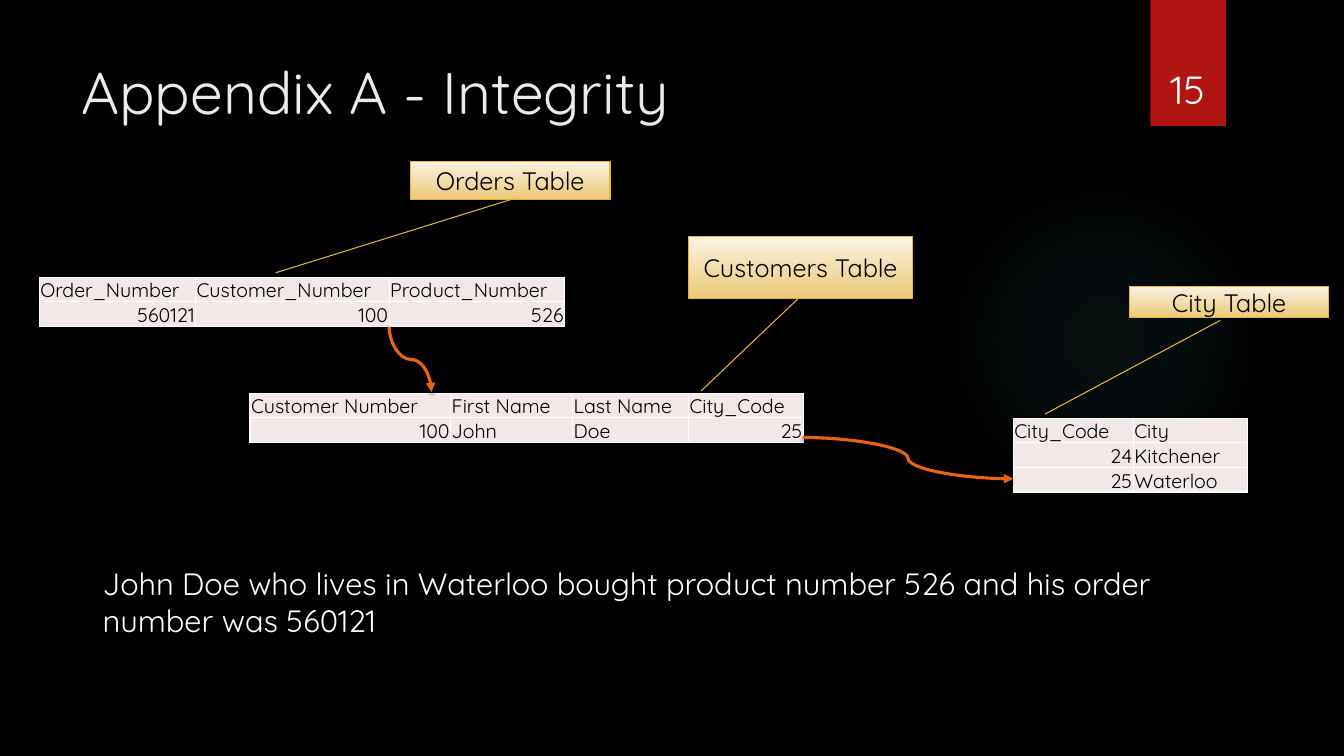
from lxml import etree
from pptx import Presentation
from pptx.dml.color import RGBColor
from pptx.enum.shapes import MSO_CONNECTOR, MSO_SHAPE
from pptx.enum.text import MSO_ANCHOR, PP_ALIGN
from pptx.oxml import parse_xml
from pptx.oxml.ns import nsdecls, qn
from pptx.util import Inches, Pt

RECTANGLE, OVAL, CALLOUT = MSO_SHAPE.RECTANGLE, MSO_SHAPE.OVAL, MSO_SHAPE.LINE_CALLOUT_1
CURVE = MSO_CONNECTOR.CURVE
TOP, MIDDLE, BOTTOM = MSO_ANCHOR.TOP, MSO_ANCHOR.MIDDLE, MSO_ANCHOR.BOTTOM
LEFT, CENTER, RIGHT = PP_ALIGN.LEFT, PP_ALIGN.CENTER, PP_ALIGN.RIGHT

FONT = "Quicksand"
BLACK, WHITE, TITLE_COLOR = "000000", "FFFFFF", "EBEBEB"
RED, ORANGE, GOLD = "B01513", "EA6312", "E6B729"
CELL_COLOR, CALLOUT_COLORS = "F2E8E7", ("FAF2E3", "ECC977")
GLOW_COLOR, GLOW_STOPS = "50B9C1", ((0, 7), (36, 6), (69, 0))
ROW_HEIGHT = 0.24

TABLES = [
    (2.48, 3.9, [1.99, 1.21, 1.15, 1.14],
     [["Customer Number", "First Name", "Last Name", "City_Code"],
      ["100", "John", "Doe", "25"]]),
    (10.05, 4.15, [1.19, 1.13],
     [["City_Code", "City"], ["24", "Kitchener"], ["25", "Waterloo"]]),
    (0.39, 2.75, [1.55, 1.92, 1.74],
     [["Order_Number", "Customer_Number", "Product_Number"],
      ["560121", "100", "526"]]),
]
CALLOUTS = [
    ("Orders Table", (4.07, 1.6, 1.98, 0.38), (0.973, 0.52, 2.911, -0.675)),
    ("Customers Table", (6.83, 2.35, 2.22, 0.61), (0.989, 0.494, 2.506, 0.056)),
    ("City Table", (11.2, 2.84, 1.98, 0.31), (1.092, 0.456, 4.092, -0.422)),
]


def rgb(color):
    return RGBColor.from_string(color)


def inches(values):
    return [Inches(value) for value in values]


def set_attributes(target, values):
    for name, value in values.items():
        setattr(target, name, value)


def write(text_frame, text, size, color, align=LEFT):
    paragraph = text_frame.paragraphs[0]
    paragraph.alignment = align
    run = paragraph.add_run()
    run.text = text
    set_attributes(run.font, {"name": FONT, "size": Pt(size)})
    run.font.color.rgb = rgb(color)


def add_text(slide, box, text, size, color, align=LEFT, anchor=TOP):
    text_frame = slide.shapes.add_textbox(*inches(box)).text_frame
    set_attributes(text_frame, {"word_wrap": True, "vertical_anchor": anchor})
    write(text_frame, text, size, color, align)


def add_plain_shape(slide, kind, box):
    shape = slide.shapes.add_shape(kind, *inches(box))
    shape.shadow.inherit = False
    shape.line.fill.background()
    return shape


def add_soft_shadow(shape):
    """Give a shape or connector a faint shadow below; call once its line is set."""
    properties = shape.element.spPr
    for effects in properties.findall(qn("a:effectLst")):
        properties.remove(effects)
    properties.append(parse_xml(
        f'<a:effectLst {nsdecls("a")}>'
        f'<a:outerShdw blurRad="{Pt(3)}" dist="{Pt(2)}" dir="5400000" rotWithShape="0">'
        f'<a:srgbClr val="{BLACK}"><a:alpha val="45000"/></a:srgbClr>'
        '</a:outerShdw></a:effectLst>'))


def add_glow(slide, box):
    """Add a circle whose transparent colour fades out from its centre."""
    shape = add_plain_shape(slide, OVAL, box)
    stops = "".join(
        f'<a:gs pos="{position * 1000}"><a:srgbClr val="{GLOW_COLOR}">'
        f'<a:alpha val="{opacity * 1000}"/></a:srgbClr></a:gs>'
        for position, opacity in GLOW_STOPS)
    gradient = parse_xml(
        f'<a:gradFill {nsdecls("a")}><a:gsLst>{stops}</a:gsLst><a:path path="circle">'
        '<a:fillToRect l="50000" t="50000" r="50000" b="50000"/></a:path></a:gradFill>')
    shape.element.spPr.find(qn("a:prstGeom")).addnext(gradient)


def add_page_tab(slide, box):
    shape = add_plain_shape(slide, RECTANGLE, box)
    shape.fill.solid()
    shape.fill.fore_color.rgb = rgb(RED)
    add_soft_shadow(shape)


def add_borders(cell):
    properties = cell._tc.get_or_add_tcPr()
    for index, side in enumerate(("lnL", "lnR", "lnT", "lnB")):
        properties.insert(index, parse_xml(
            f'<a:{side} {nsdecls("a")} w="{Pt(1)}"><a:solidFill>'
            f'<a:srgbClr val="{WHITE}"/></a:solidFill></a:{side}>'))


def add_data_table(slide, left, top, widths, rows):
    box = inches((left, top, sum(widths), ROW_HEIGHT * len(rows)))
    table = slide.shapes.add_table(len(rows), len(widths), *box).table
    set_attributes(table, {"first_row": False, "horz_banding": False})
    for column, width in zip(table.columns, widths):
        column.width = Inches(width)
    margin = Inches(0.01)
    cell_format = {"margin_left": margin, "margin_right": margin, "margin_top": margin,
                   "margin_bottom": 0, "vertical_anchor": BOTTOM}
    for row_index, row in enumerate(rows):
        for column_index, text in enumerate(row):
            cell = table.cell(row_index, column_index)
            set_attributes(cell, cell_format)
            cell.fill.solid()
            cell.fill.fore_color.rgb = rgb(CELL_COLOR)
            add_borders(cell)
            write(cell.text_frame, text, 14, BLACK, RIGHT if text.isdigit() else LEFT)


def add_callout(slide, text, box, adjustments):
    shape = add_plain_shape(slide, CALLOUT, box)
    for index, value in enumerate(adjustments):
        shape.adjustments[index] = value
    shape.fill.gradient()
    shape.fill.gradient_angle = 270
    for position, (stop, color) in enumerate(zip(shape.fill.gradient_stops, CALLOUT_COLORS)):
        stop.position = position
        stop.color.rgb = rgb(color)
    shape.line.color.rgb = rgb(GOLD)
    shape.line.width = Pt(0.75)
    shape.text_frame.vertical_anchor = MIDDLE
    write(shape.text_frame, text, 18, BLACK, CENTER)


def add_curved_arrow(slide, start, end, vertical=False):
    """Join two points with an S-curve that leaves sideways, or downwards if vertical."""
    (x1, y1), (x2, y2) = start, end
    if vertical:
        # A quarter turn of a mirrored connector swaps its width and height.
        x, y = (x1 + x2) / 2, (y1 + y2) / 2
        half_width, half_height = (y2 - y1) / 2, (x2 - x1) / 2
        x1, y1, x2, y2 = x + half_width, y - half_height, x - half_width, y + half_height
    connector = slide.shapes.add_connector(CURVE, *inches((x1, y1, x2, y2)))
    if vertical:
        connector.element.spPr.find(qn("a:xfrm")).set("rot", str(270 * 60000))
    connector.line.color.rgb = rgb(ORANGE)
    connector.line.width = Pt(2.25)
    etree.SubElement(connector.line._get_or_add_ln(), qn("a:tailEnd"), type="triangle")
    add_soft_shadow(connector)


def main():
    presentation = Presentation()
    set_attributes(presentation, {"slide_width": Inches(13.33), "slide_height": Inches(7.5)})
    slide = presentation.slides.add_slide(presentation.slide_layouts[6])
    slide.background.fill.solid()
    slide.background.fill.fore_color.rgb = rgb(BLACK)

    add_glow(slide, (9.41, 1.83, 3.08, 3.08))
    add_page_tab(slide, (11.41, 0, 0.75, 1.25))
    add_text(slide, (0.71, 0.5, 10.29, 1.53), "Appendix A - Integrity", 42, TITLE_COLOR)
    for data_table in TABLES:
        add_data_table(slide, *data_table)
    add_text(slide, (0.92, 5.55, 11.22, 0.84),
             "John Doe who lives in Waterloo bought product number 526 "
             "and his order number was 560121", 22, WHITE)
    for callout in CALLOUTS:
        add_callout(slide, *callout)
    add_curved_arrow(slide, (3.86, 3.24), (4.28, 3.89), vertical=True)
    add_curved_arrow(slide, (7.96, 4.34), (10.05, 4.75))
    add_text(slide, (11.32, 0.32, 0.92, 0.84), "15", 28, WHITE, CENTER, BOTTOM)
    presentation.save("out.pptx")


if __name__ == "__main__":
    main()
